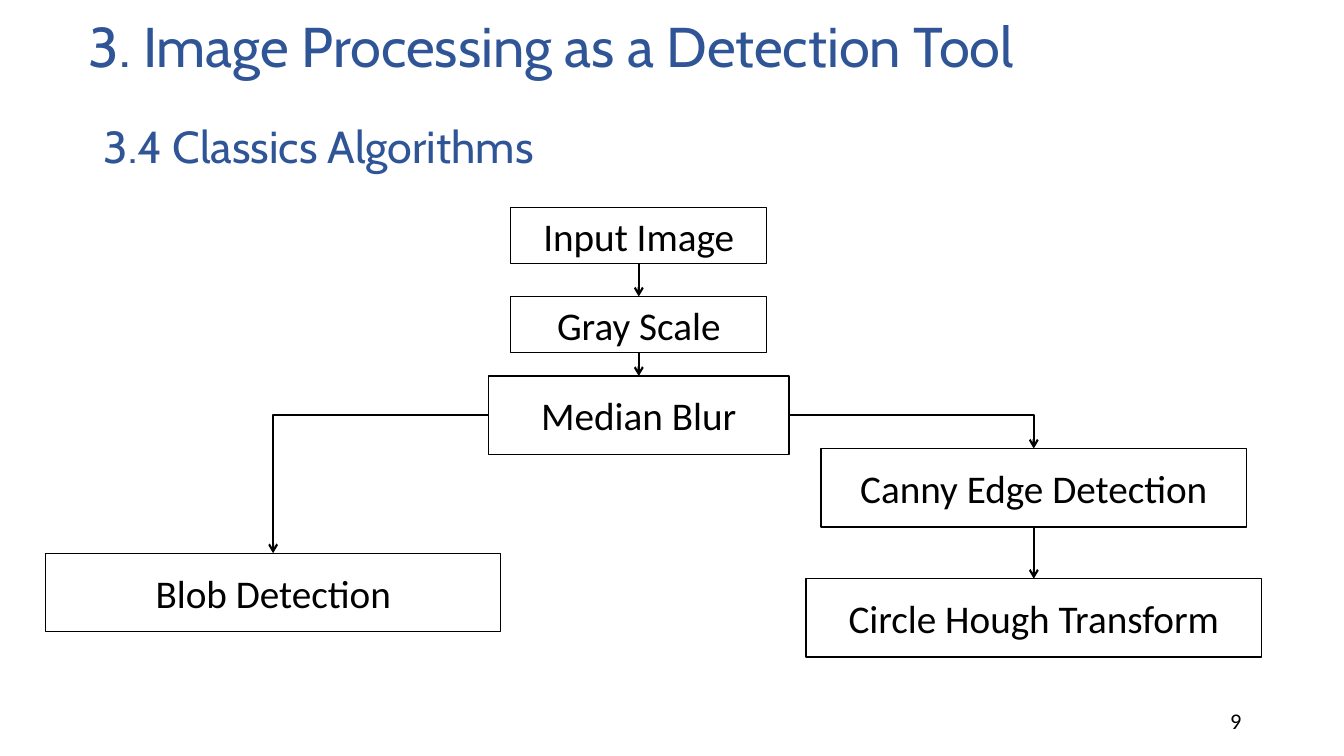
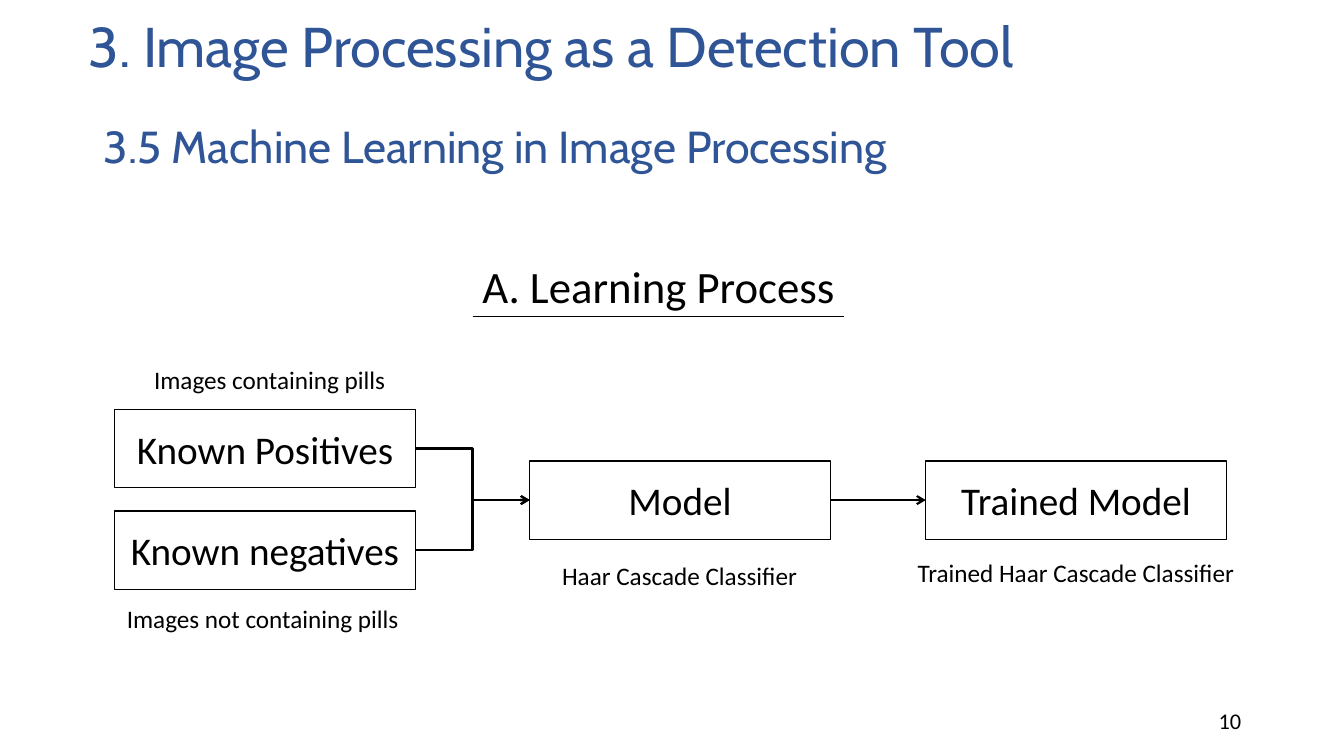
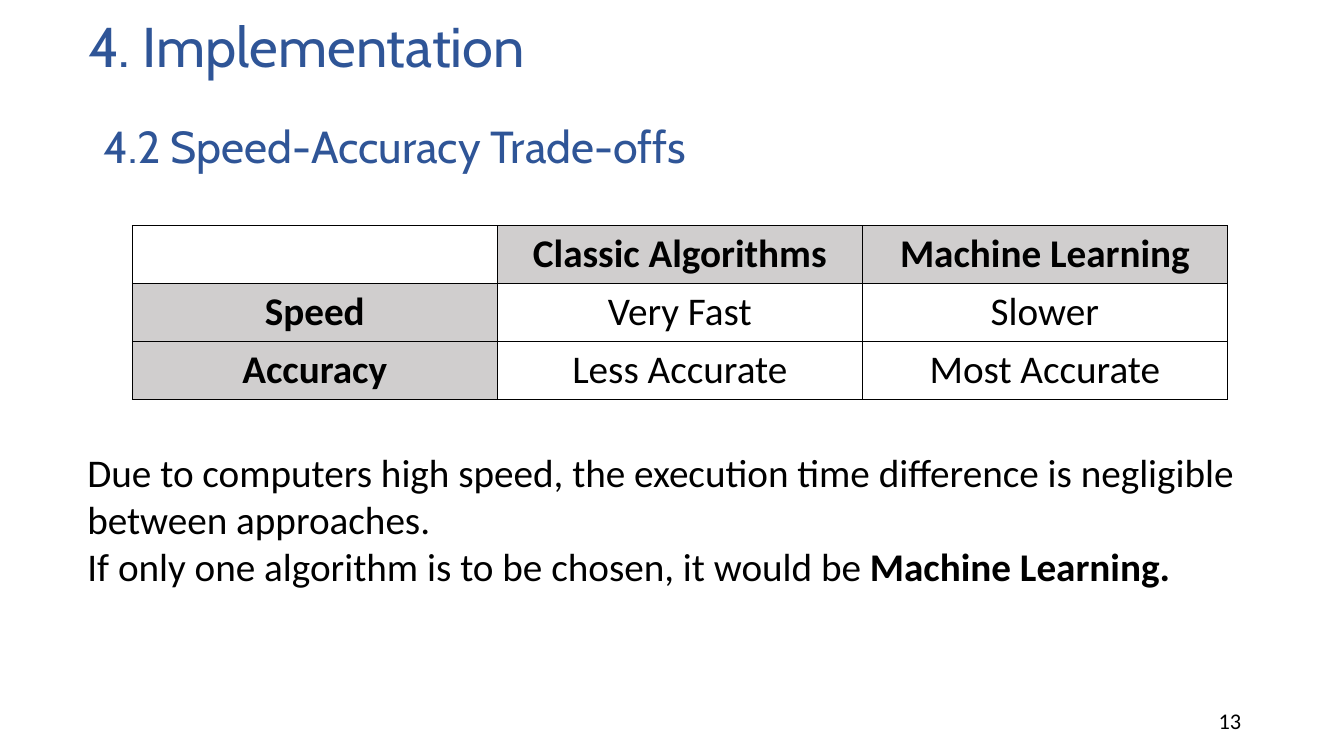
"""Build three slides on detecting pills with image processing."""
from dataclasses import dataclass

from lxml.etree import SubElement
from pptx import Presentation
from pptx.dml.color import RGBColor
from pptx.enum.shapes import MSO_CONNECTOR as Cxn, MSO_SHAPE as Shp
from pptx.enum.text import MSO_ANCHOR as Anchor, MSO_AUTO_SIZE as AutoSize, PP_ALIGN as Align
from pptx.oxml import parse_xml
from pptx.oxml.ns import nsdecls, qn
from pptx.shapes.autoshape import Shape
from pptx.shapes.connector import Connector
from pptx.slide import Slide
from pptx.table import _Cell as Cell
from pptx.text.text import TextFrame
from pptx.util import Pt

BLACK, WHITE, BLUE, GRAY = "000000", "FFFFFF", "2F5597", "D0CECE"
HEAD_FONT, BODY_FONT = "Cabin", "Calibri"
TOP, LEFT, BOTTOM, RIGHT = range(4)
IMAGE_PROCESSING = "3. Image Processing as a Detection Tool"


@dataclass
class Box:
    """A flowchart box, placed by its centre line and top."""

    text: str
    cx: float
    top: float
    width: float = 214.8
    height: float = 56


@dataclass
class Link:
    """An arrow from a side of one box to a side of another."""

    start: str
    start_side: int
    end: str
    end_side: int
    preset: str = "line"


@dataclass
class Label:
    """A single line of free text."""

    text: str
    left: float
    top: float
    width: float
    height: float = 29
    size: float = 18


def rgb(value: str) -> RGBColor:
    """Turn a hex string into a colour."""
    return RGBColor.from_string(value)


def style_text(tf: TextFrame, size: float, color: str = BLACK, font: str = BODY_FONT,
               align: Align = Align.LEFT, spacing: float = 1.0) -> None:
    """Format every paragraph and run of a text frame."""
    for p in tf.paragraphs:
        p.alignment, p.line_spacing = align, spacing
        for r in p.runs:
            r.font.size, r.font.name = Pt(size), font
            r.font.color.rgb = rgb(color)


def add_text(s: Slide, text: str, left: float, top: float, width: float, height: float,
             wrap: bool = True, anchor: Anchor = Anchor.TOP) -> TextFrame:
    """Add a text box and return its frame."""
    tf = s.shapes.add_textbox(Pt(left), Pt(top), Pt(width), Pt(height)).text_frame
    tf.word_wrap, tf.vertical_anchor = wrap, anchor
    tf.text = text
    return tf


def add_slide(prs: Presentation, heading: str, title: str, number: int) -> Slide:
    """Add a slide with its section heading, title and number."""
    s = prs.slides.add_slide(prs.slide_layouts[5])
    tf = add_text(s, str(number), 678.2, 500.4, 216, 28.8, anchor=Anchor.MIDDLE)
    style_text(tf, 16, align=Align.RIGHT)
    tf = add_text(s, heading, 56.2, 10, 828, 50, anchor=Anchor.MIDDLE)
    style_text(tf, 40, BLUE, HEAD_FONT, spacing=0.9)
    sp = s.shapes.title
    sp.left, sp.top, sp.width, sp.height = Pt(67), Pt(79.2), Pt(818), Pt(54)
    tf = sp.text_frame
    tf.text = title
    tf.auto_size, tf.vertical_anchor = AutoSize.NONE, Anchor.MIDDLE
    style_text(tf, 32, BLUE, HEAD_FONT, spacing=0.9)
    return s


def add_box(s: Slide, box: Box) -> Shape:
    """Draw one flowchart box."""
    sp = s.shapes.add_shape(Shp.RECTANGLE, Pt(box.cx - box.width / 2), Pt(box.top),
                            Pt(box.width), Pt(box.height))
    sp.shadow.inherit = False
    sp.fill.solid()
    sp.fill.fore_color.rgb = rgb(WHITE)
    sp.line.color.rgb, sp.line.width = rgb(BLACK), Pt(1)
    tf = sp.text_frame
    tf.text = box.text
    tf.word_wrap, tf.vertical_anchor = True, Anchor.MIDDLE
    style_text(tf, 28, align=Align.CENTER)
    return sp


def style_line(line: Connector, width: float) -> None:
    """Make a connector black and flat."""
    line.line.color.rgb, line.line.width = rgb(BLACK), Pt(width)
    SubElement(line._element.spPr, qn("a:effectLst"))


def add_link(s: Slide, link: Link, shapes: dict[str, Shape]) -> None:
    """Draw an arrow joined to two boxes."""
    kind = Cxn.STRAIGHT if link.preset == "line" else Cxn.ELBOW
    line = s.shapes.add_connector(kind, 0, 0, 0, 0)
    line.begin_connect(shapes[link.start], link.start_side)
    line.end_connect(shapes[link.end], link.end_side)
    line._element.spPr.find(qn("a:prstGeom")).set("prst", link.preset)
    style_line(line, 1.5)
    SubElement(line.line._get_or_add_ln(), qn("a:tailEnd"), type="arrow")


def add_flowchart(s: Slide, boxes: list[Box], links: list[Link]) -> None:
    """Draw the boxes and the arrows between them."""
    shapes = {box.text: add_box(s, box) for box in boxes}
    for link in links:
        add_link(s, link, shapes)


def add_label(s: Slide, label: Label) -> None:
    """Draw a label on one line."""
    tf = add_text(s, label.text, label.left, label.top, label.width, label.height, wrap=False)
    style_text(tf, label.size)


def style_cell(cell: Cell, text: str, header: bool) -> None:
    """Fill, border and write one table cell."""
    if header and text:
        cell.fill.solid()
        cell.fill.fore_color.rgb = rgb(GRAY)
    else:
        cell.fill.background()
    for i, side in enumerate("LRTB"):
        cell._tc.get_or_add_tcPr().insert(i, parse_xml(
            f'<a:ln{side} {nsdecls("a")} w="{Pt(0.45)}"><a:solidFill>'
            f'<a:srgbClr val="{BLACK}"/></a:solidFill></a:ln{side}>'))
    cell.text = text
    style_text(cell.text_frame, 28, align=Align.CENTER)
    for r in cell.text_frame.paragraphs[0].runs:
        r.font.bold = header


def add_grid(s: Slide, rows: list[list[str]]) -> None:
    """Draw the comparison table with header row and column."""
    frame = s.shapes.add_table(len(rows), len(rows[0]), Pt(94.5), Pt(161),
                               Pt(782.7), Pt(41.5 * len(rows)))
    table = frame.table
    table.first_row = table.horz_banding = False
    for i, row in enumerate(rows):
        for j, text in enumerate(row):
            style_cell(table.cell(i, j), text, i == 0 or j == 0)


def classic_slide(prs: Presentation) -> None:
    """Build the slide on classic algorithms."""
    s = add_slide(prs, IMAGE_PROCESSING, "3.4 Classics Algorithms", 9)
    left, middle, right = 195.2, 456.5, 738.8
    add_flowchart(s, [
        Box("Input Image", middle, 148.4, 183, 40),
        Box("Gray Scale", middle, 211.8, 183, 40),
        Box("Median Blur", middle, 268.6),
        Box("Canny Edge Detection", right, 320.4, 304),
        Box("Circle Hough Transform", right, 413.4, 325.4),
        Box("Blob Detection", left, 395.2, 325.4),
    ], [
        Link("Input Image", BOTTOM, "Gray Scale", TOP),
        Link("Gray Scale", BOTTOM, "Median Blur", TOP),
        Link("Median Blur", LEFT, "Blob Detection", TOP, "bentConnector2"),
        Link("Median Blur", RIGHT, "Canny Edge Detection", TOP, "bentConnector2"),
        Link("Canny Edge Detection", BOTTOM, "Circle Hough Transform", TOP),
    ])


def learning_slide(prs: Presentation) -> None:
    """Build the slide on the learning process."""
    s = add_slide(prs, IMAGE_PROCESSING, "3.5 Machine Learning in Image Processing", 10)
    add_flowchart(s, [
        Box("Known Positives", 189.4, 292.4),
        Box("Known negatives", 189.4, 365),
        Box("Model", 486, 329.2),
        Box("Trained Model", 769, 329.2),
    ], [
        Link("Known Positives", RIGHT, "Model", LEFT, "bentConnector3"),
        Link("Known negatives", RIGHT, "Model", LEFT, "bentConnector3"),
        Link("Model", RIGHT, "Trained Model", LEFT),
    ])
    for label in (
        Label("A. Learning Process", 337.7, 181.4, 266.4, 46, 32),
        Label("Images containing pills", 103, 257, 180),
        Label("Images not containing pills", 83.5, 427.7, 209.5),
        Label("Haar Cascade Classifier", 394.6, 396.7, 182.2),
        Label("Trained Haar Cascade Classifier", 648.7, 394.6, 242),
    ):
        add_label(s, label)
    underline = s.shapes.add_connector(Cxn.STRAIGHT, Pt(337.7), Pt(225.8), Pt(603), Pt(225.8))
    style_line(underline, 0.5)


def tradeoff_slide(prs: Presentation) -> None:
    """Build the slide comparing speed and accuracy."""
    s = add_slide(prs, "4. Implementation", "4.2 Speed-Accuracy Trade-offs", 13)
    add_grid(s, [
        ["", "Classic Algorithms", "Machine Learning"],
        ["Speed", "Very Fast", "Slower"],
        ["Accuracy", "Less Accurate", "Most Accurate"],
    ])
    tf = add_text(s, "Due to computers high speed, the execution time difference is negligible "
                  "between approaches.", 55.4, 316.8, 904.3, 141.8)
    p = tf.add_paragraph()
    p.text = "If only one algorithm is to be chosen, it would be "
    r = p.add_run()
    r.text, r.font.bold = "Machine Learning.", True
    style_text(tf, 28)


def main() -> None:
    """Build and save the deck."""
    prs = Presentation()
    prs.slide_width, prs.slide_height = Pt(960.48), Pt(540)
    for build in (classic_slide, learning_slide, tradeoff_slide):
        build(prs)
    prs.save("out.pptx")


if __name__ == "__main__":
    main()
